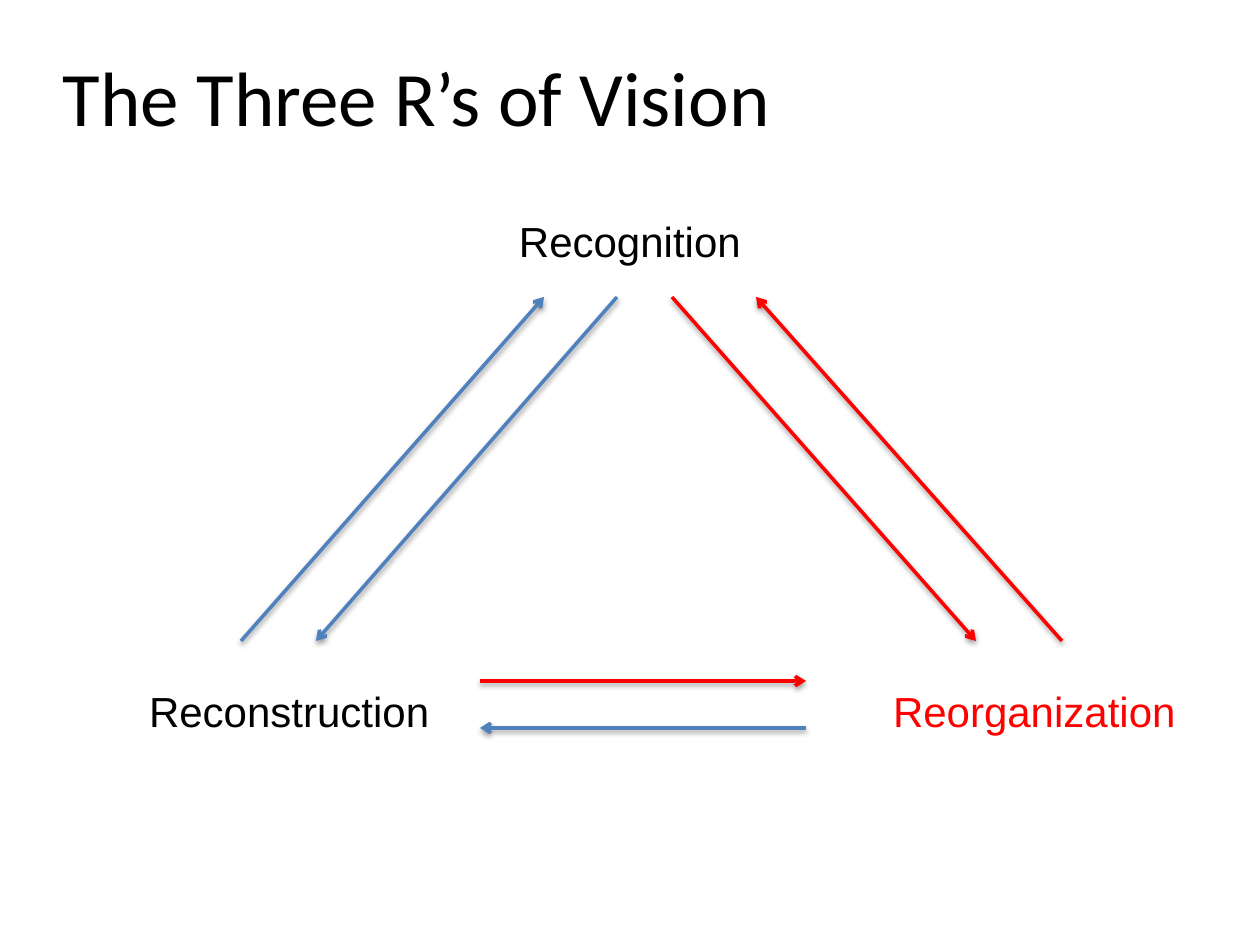
"""Build the slide "The Three R's of Vision" with its triangle of arrows."""
from lxml import etree
from pptx import Presentation
from pptx import util as u
from pptx.dml.color import RGBColor
from pptx.enum import shapes, text
from pptx.oxml.ns import qn

SCALE = 914400 / 126
BLACK, RED, BLUE = "000000", "FF0000", "4F81BD"

TITLE = ("The Three R’s of Vision", (63, 38, 1134, 128))
CORNERS = [
    ("Recognition", (506, 210, 250, 64), BLACK, False),
    ("Reconstruction", (136, 680, 310, 64), BLACK, True),
    ("Reorganization", (880, 680, 374, 64), RED, True),
]
TOP, BOTTOM = 297, 641
LEFT, RIGHT = 480, 806
ARROWS = [
    ((241, BOTTOM), (544, TOP), BLUE),
    ((617, TOP), (316, BOTTOM), BLUE),
    ((672, TOP), (976, BOTTOM), RED),
    ((1062, BOTTOM), (756, TOP), RED),
    ((LEFT, 681), (RIGHT, 681), RED),
    ((RIGHT, 728), (LEFT, 728), BLUE),
]


def px(*lengths):
    return [u.Emu(round(length * SCALE)) for length in lengths]


def color(value):
    return RGBColor.from_string(value)


def add_text(slide, words, place, *, font, size, fill=BLACK, wrap=True,
             insets=(13, 6), anchor=text.MSO_ANCHOR.TOP, spacing=None):
    frame = slide.shapes.add_textbox(*px(*place)).text_frame
    frame.word_wrap = wrap
    frame.vertical_anchor = anchor
    frame.margin_left, frame.margin_top = px(*insets)
    frame.margin_right, frame.margin_bottom = px(*insets)
    paragraph = frame.paragraphs[0]
    paragraph.line_spacing = spacing
    run = paragraph.add_run()
    run.text = words
    run.font.name, run.font.size = font, u.Pt(size)
    run.font.color.rgb = color(fill)


def add_arrow(slide, start, end, stroke):
    arrow = slide.shapes.add_connector(
        shapes.MSO_CONNECTOR.STRAIGHT, *px(*start, *end))
    arrow.line.width = u.Pt(2)
    arrow.line.color.rgb = color(stroke)
    properties = arrow.line._get_or_add_ln()
    etree.SubElement(properties, qn("a:tailEnd"), type="arrow")
    effects = etree.SubElement(arrow._element.spPr, qn("a:effectLst"))
    shadow = etree.SubElement(
        effects, qn("a:outerShdw"), blurRad="40000", dist="20000",
        dir="5400000", rotWithShape="0")
    shade = etree.SubElement(shadow, qn("a:srgbClr"), val=BLACK)
    etree.SubElement(shade, qn("a:alpha"), val="38000")


def main():
    deck = Presentation()
    deck.slide_width, deck.slide_height = px(1260, 945)
    slide = deck.slides.add_slide(deck.slide_layouts[6])
    add_text(slide, *TITLE, font="Calibri", size=44, insets=(0, 0),
             anchor=text.MSO_ANCHOR.MIDDLE, spacing=0.9)
    for words, place, fill, wrap in CORNERS:
        add_text(slide, words, place, font="Arial", size=24, fill=fill, wrap=wrap)
    for start, end, stroke in ARROWS:
        add_arrow(slide, start, end, stroke)
    deck.save("out.pptx")


if __name__ == "__main__":
    main()
